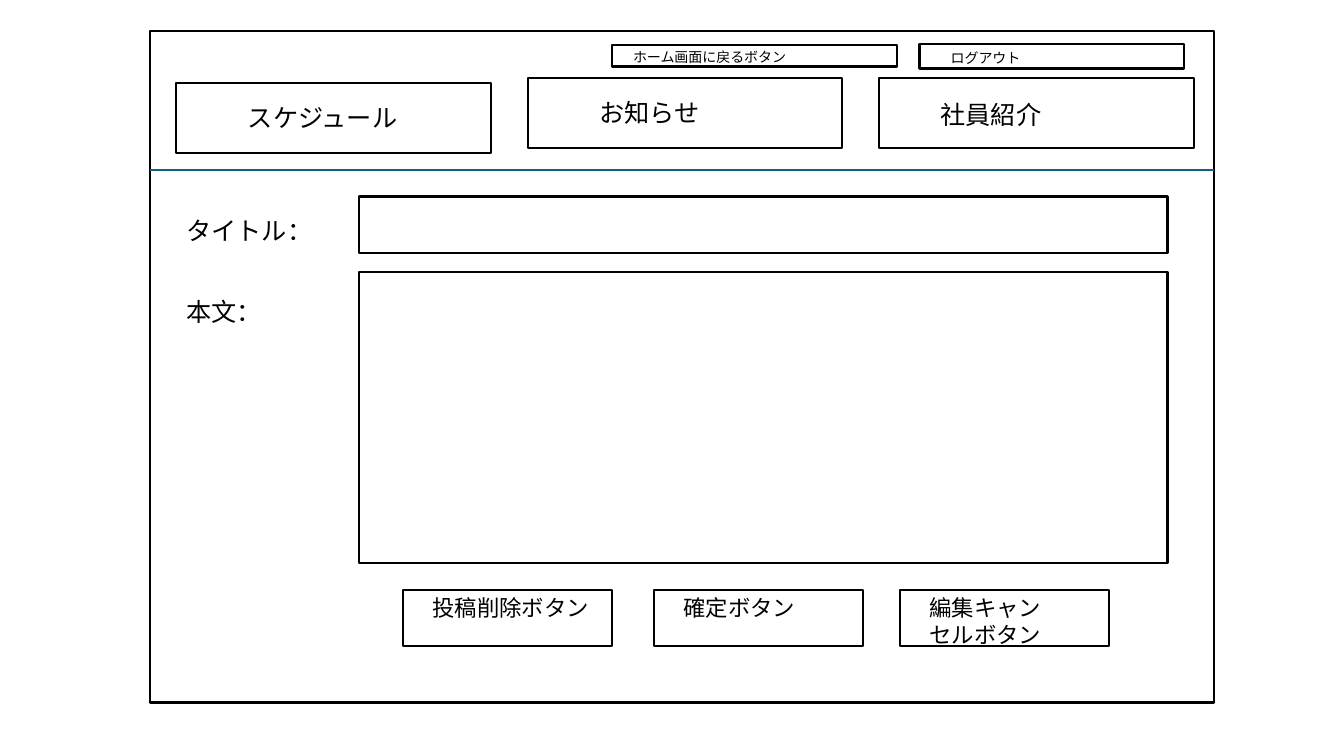
import lxml.etree
import pptx
import pptx.dml.color
import pptx.enum.shapes
import pptx.enum.text
import pptx.oxml.ns
import pptx.util

BLACK = pptx.dml.color.RGBColor(0x00, 0x00, 0x00)
WHITE = pptx.dml.color.RGBColor(0xFF, 0xFF, 0xFF)
BLUE = pptx.dml.color.RGBColor(0x15, 0x60, 0x82)
FONT = "Noto Sans CJK JP"
LINE_WIDTH = pptx.util.Pt(1.5)

WIDTH, HEIGHT = pptx.util.Inches(13.33), pptx.util.Inches(7.5)
COLUMNS, ROWS = 133.3, 75

SCREEN = (14.9, 3.1, 105.5, 66.6)
HEADER_BOTTOM = 16.9
FIELD_LEFT, FIELD_WIDTH = 35.6, 80.2
FIELDS = [
    {"label": "タイトル：", "top": 19.5, "height": 5.6, "label_top": 20.9, "label_width": 16.6},
    {"label": "本文：", "top": 27, "height": 28.9, "label_top": 28.9, "label_width": 13.2},
]
LABEL_LEFT = 17.5

TAB_LEFT, TAB_PITCH, TAB_SIZE = 17.5, 34.85, (31.2, 7)
TABS = [
    ("スケジュール", 8.2, (6.1, 1.5)),
    ("お知らせ", 7.7, (6.1, 1.5)),
    ("社員紹介", 7.7, (5.1, 1.7)),
]
TAB_TEXT_SIZE = (25.1, 4)

LINKS = [
    ("ホーム画面に戻るボタン", (60.7, 4.5, 28.3, 2.1), (61.8, 4.3)),
    ("ログアウト", (91.2, 4.4, 26.2, 2.4), (93.3, 4.4)),
]
LINK_TEXT_SIZE = (20.5, 2.7)

BUTTON_TOP, BUTTON_SIZE, BUTTON_INDENT = 58.5, (20.7, 5.6), 1.9
BUTTONS = [
    ("投稿削除ボタン", 40, (18.8, 3.7)),
    ("確定ボタン", 64.9, (15, 3.7)),
    ("編集キャンセルボタン", 89.3, (15, 6.4)),
]


def place(left, top, width, height):
    """Convert grid columns and rows into slide lengths."""
    column, row = WIDTH / COLUMNS, HEIGHT / ROWS
    return round(left * column), round(top * row), round(width * column), round(height * row)


def add_box(shapes, area):
    """Draw a white rectangle with a black outline."""
    box = shapes.add_shape(pptx.enum.shapes.MSO_SHAPE.RECTANGLE, *place(*area))
    box.shadow.inherit = False
    box.fill.solid()
    box.fill.fore_color.rgb = WHITE
    box.line.color.rgb = BLACK
    box.line.width = LINE_WIDTH


def add_text(shapes, text, area, size):
    """Write one line of black text in a wrapping text box."""
    text_frame = shapes.add_textbox(*place(*area)).text_frame
    text_frame.word_wrap = True
    text_frame.auto_size = pptx.enum.text.MSO_AUTO_SIZE.SHAPE_TO_FIT_TEXT
    text_frame.text = text
    font = text_frame.paragraphs[0].runs[0].font
    font.size = pptx.util.Pt(size)
    font.name = FONT
    font.color.rgb = BLACK
    properties = text_frame.paragraphs[0].runs[0]._r.get_or_add_rPr()
    east_asian = lxml.etree.SubElement(properties, pptx.oxml.ns.qn("a:ea"))
    east_asian.set("typeface", FONT)


def add_header_line(shapes):
    """Draw the blue line under the header."""
    left, top, width, _ = place(SCREEN[0], HEADER_BOTTOM, SCREEN[2], 0)
    line = shapes.add_connector(
        pptx.enum.shapes.MSO_CONNECTOR.STRAIGHT, left, top, left + width, top)
    line.line.color.rgb = BLUE
    line.line.width = LINE_WIDTH
    lxml.etree.SubElement(line._element.spPr, pptx.oxml.ns.qn("a:effectLst"))


def main():
    """Build the post editing screen and save it."""
    presentation = pptx.Presentation()
    presentation.slide_width, presentation.slide_height = WIDTH, HEIGHT
    slide = presentation.slides.add_slide(presentation.slide_layouts[6])
    shapes = slide.shapes

    add_box(shapes, SCREEN)
    add_header_line(shapes)

    for index, (text, top, (indent, drop)) in enumerate(TABS):
        left = TAB_LEFT + index * TAB_PITCH
        add_box(shapes, (left, top, *TAB_SIZE))
        add_text(shapes, text, (left + indent, top + drop, *TAB_TEXT_SIZE), 18)

    for text, area, corner in LINKS:
        add_box(shapes, area)
        add_text(shapes, text, (*corner, *LINK_TEXT_SIZE), 10)

    for field in FIELDS:
        add_box(shapes, (FIELD_LEFT, field["top"], FIELD_WIDTH, field["height"]))
        label_area = (LABEL_LEFT, field["label_top"], field["label_width"], 4)
        add_text(shapes, field["label"], label_area, 18)

    for text, left, text_size in BUTTONS:
        button = shapes.add_group_shape()
        add_box(button.shapes, (left, BUTTON_TOP, *BUTTON_SIZE))
        add_text(button.shapes, text, (left + BUTTON_INDENT, BUTTON_TOP, *text_size), 16)

    presentation.save("out.pptx")


if __name__ == "__main__":
    main()
